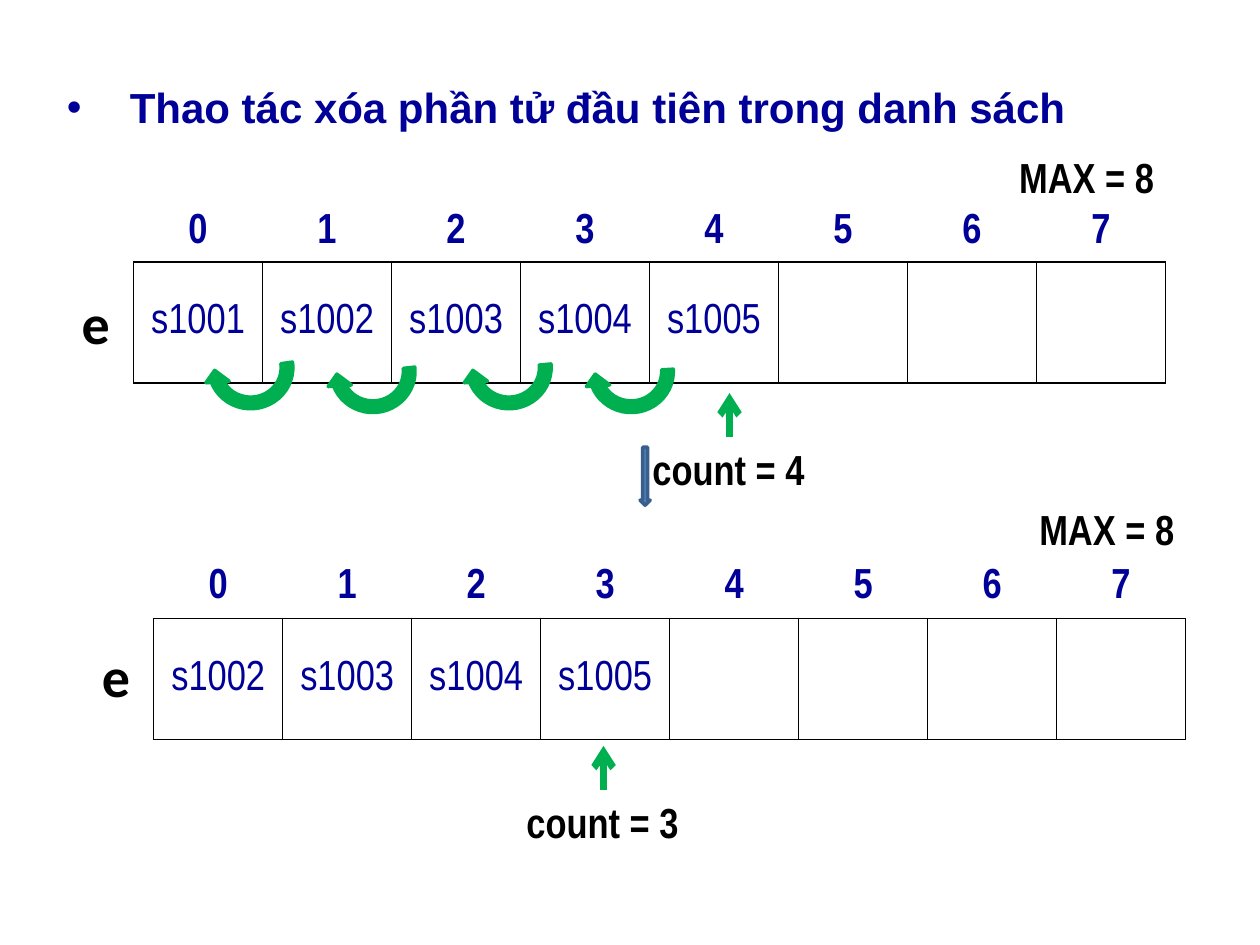
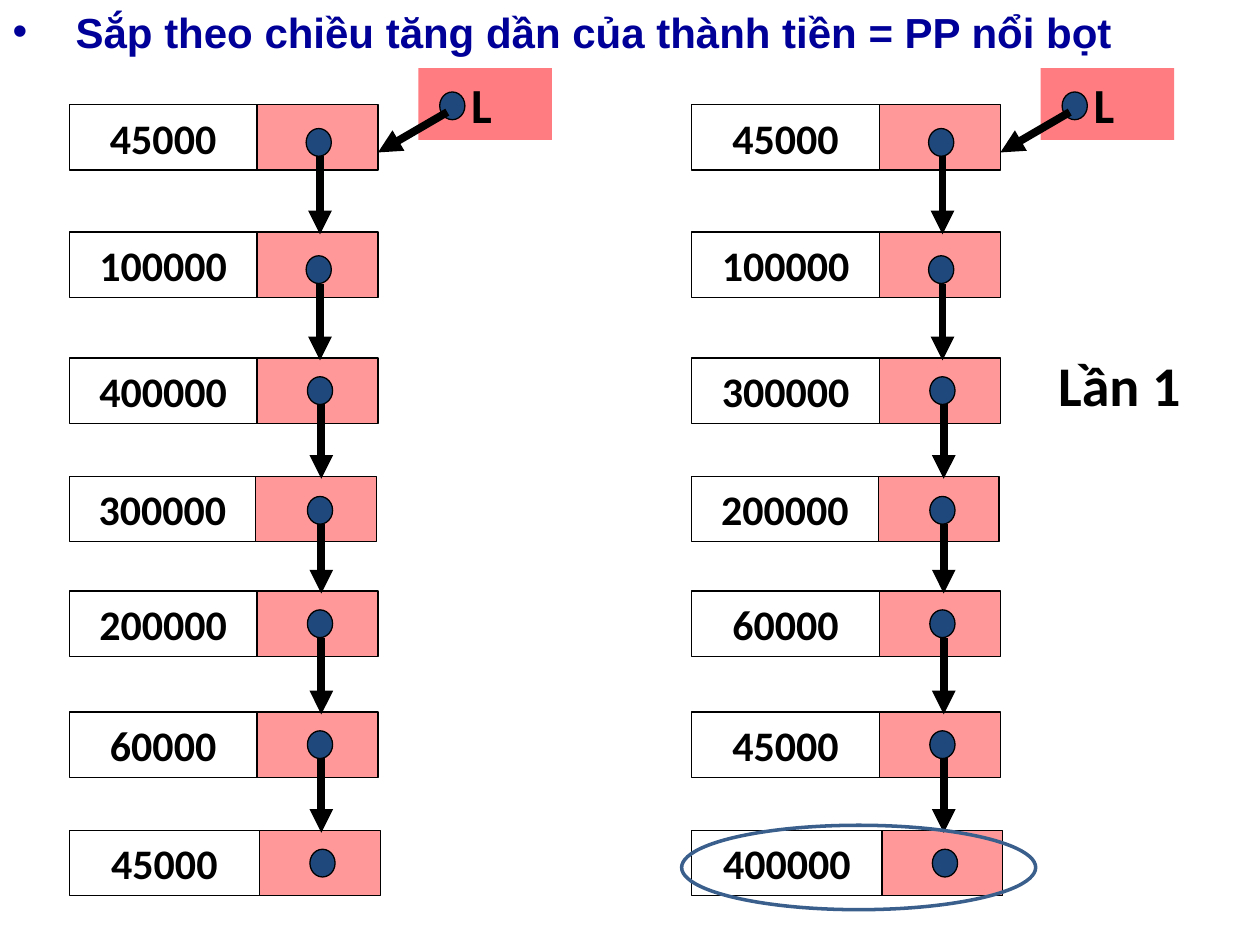
from typing import NamedTuple

from lxml.etree import SubElement
from pptx import Presentation
from pptx.dml.color import RGBColor
from pptx.enum.shapes import MSO_CONNECTOR, MSO_SHAPE
from pptx.enum.text import MSO_ANCHOR, MSO_AUTO_SIZE, PP_ALIGN
from pptx.oxml import parse_xml
from pptx.oxml.ns import nsdecls, qn
from pptx.util import Inches, Pt

COLORS = {
    "navy": "000099",
    "black": "000000",
    "white": "FFFFFF",
    "green": "00B050",
    "blue": "4F81BD",
    "outline": "3A5F8C",
    "dot": "1F497D",
    "red": "FF0000",
    "pink": "FF7C80",
}
CAPACITY = 8


class Box(NamedTuple):
    left: float
    top: float
    width: float
    height: float


class TextStyle(NamedTuple):
    font: str
    size: float
    color: str = "black"
    bold: bool = True


class ArrayState(NamedTuple):
    left: float
    top: float
    values: list[str]
    count: int
    count_left: float


class ShiftArrow(NamedTuple):
    left: float
    top: float
    sweep: float


class NodePlace(NamedTuple):
    top: float
    value_width: float
    dot_left: float
    dot_drop: float


class LinkedList(NamedTuple):
    left: float
    values: list[str]


HEADING = TextStyle("Arial", 24, "navy")
INDEX = TextStyle("Arial Narrow", 24, "navy")
ELEMENT = TextStyle("Arial Narrow", 24, "navy", False)
CAPTION = TextStyle("Arial Narrow", 24)
NAME = TextStyle("Calibri", 32)
NODE = TextStyle("Calibri", 24)
HEAD = TextStyle("Calibri", 28)

ARRAY_STATES = [
    ArrayState(1.06, 1.61, ["s1001", "s1002", "s1003", "s1004", "s1005"], 4, 5.08),
    ArrayState(1.22, 4.41, ["s1002", "s1003", "s1004", "s1005"], 3, 4.08),
]
SHIFT_ARROWS = [
    ShiftArrow(1.61, 2.55, 105.47),
    ShiftArrow(2.58, 2.58, 106.48),
    ShiftArrow(3.66, 2.55, 107),
    ShiftArrow(4.63, 2.58, 108.17),
]
NODE_PLACES = [
    NodePlace(0.83, 1.49, 1.88, 0.19),
    NodePlace(1.84, 1.49, 1.88, 0.19),
    NodePlace(2.84, 1.49, 1.89, 0.15),
    NodePlace(3.78, 1.48, 1.89, 0.16),
    NodePlace(4.69, 1.49, 1.89, 0.15),
    NodePlace(5.65, 1.49, 1.89, 0.15),
    NodePlace(6.59, 1.51, 1.91, 0.15),
]
LINKED_LISTS = [
    LinkedList(0.55, ["45000", "100000", "400000", "300000", "200000", "60000", "45000"]),
    LinkedList(5.49, ["45000", "100000", "300000", "200000", "60000", "45000", "400000"]),
]


def rgb(name: str) -> RGBColor:
    """Look up a palette colour."""
    return RGBColor.from_string(COLORS[name])


def inches(box: Box) -> list[Inches]:
    """Turn a box into lengths."""
    return [Inches(value) for value in box]


def add_text(paragraph, text: str, style: TextStyle) -> None:
    """Add one styled run to a paragraph."""
    run = paragraph.add_run()
    run.text = text
    run.font.name = style.font
    run.font.size = Pt(style.size)
    run.font.bold = style.bold
    run.font.color.rgb = rgb(style.color)


def add_label(slide, box: Box, text: str, style: TextStyle) -> None:
    """Add a left-aligned text box."""
    frame = slide.shapes.add_textbox(*inches(box)).text_frame
    frame.word_wrap = True
    frame.auto_size = MSO_AUTO_SIZE.SHAPE_TO_FIT_TEXT
    add_text(frame.paragraphs[0], text, style)


def add_figure(shapes, kind, box: Box, fill: str | None = None, line: str | None = None,
               line_width: float = 0.75, opacity: int = 100):
    """Add a preset shape with flat fill and line."""
    shape = shapes.add_shape(kind, *inches(box))
    shape.shadow.inherit = False
    if fill:
        shape.fill.solid()
        shape.fill.fore_color.rgb = rgb(fill)
        if opacity < 100:
            color = shape.element.spPr.find(qn("a:solidFill"))[0]
            SubElement(color, qn("a:alpha"), val=str(opacity * 1000))
    else:
        shape.fill.background()
    if line:
        shape.line.color.rgb = rgb(line)
        shape.line.width = Pt(line_width)
    else:
        shape.line.fill.background()
    return shape


def add_arrow(shapes, start: tuple[float, float], end: tuple[float, float],
              color: str, width: float, head: str) -> None:
    """Add a straight connector with an arrowhead at its end."""
    points = [Inches(value) for value in (*start, *end)]
    connector = shapes.add_connector(MSO_CONNECTOR.STRAIGHT, *points)
    connector.line.color.rgb = rgb(color)
    connector.line.width = Pt(width)
    properties = connector.element.spPr
    SubElement(properties.find(qn("a:ln")), qn("a:tailEnd"), type=head)
    SubElement(properties, qn("a:effectLst"))


def add_heading_slide(presentation, heading: str, top: float):
    """Add a slide whose subtitle placeholder holds a bulleted heading."""
    slide = presentation.slides.add_slide(presentation.slide_layouts[0])
    title = slide.shapes.title.element
    title.getparent().remove(title)
    placeholder = slide.placeholders[1]
    left = 0.43 if top else 0
    placeholder.left, placeholder.top, placeholder.width, placeholder.height = inches(
        Box(left, top, 9.21, 0.63))
    frame = placeholder.text_frame
    frame.word_wrap = True
    frame.auto_size = MSO_AUTO_SIZE.NONE
    frame.vertical_anchor = MSO_ANCHOR.TOP
    paragraph = frame.paragraphs[0]
    paragraph.alignment = PP_ALIGN.JUSTIFY
    paragraph.space_before = Pt(12)
    properties = paragraph._p.get_or_add_pPr()
    properties.set("marL", str(Inches(0.5)))
    properties.set("indent", str(Inches(-0.5)))
    SubElement(properties, qn("a:buFont"), typeface="Arial")
    SubElement(properties, qn("a:buChar"), char="•")
    add_text(paragraph, heading, HEADING)
    return slide


def set_borders(cell, sides: str) -> None:
    """Draw thin black borders on the given cell sides."""
    properties = cell._tc.get_or_add_tcPr()
    for position, side in enumerate(sides):
        properties.insert(position, parse_xml(
            f'<a:ln{side} {nsdecls("a")} w="{Pt(1)}"><a:solidFill>'
            f'<a:srgbClr val="{COLORS["black"]}"/></a:solidFill></a:ln{side}>'))


def fill_cell(cell, text: str, style: TextStyle, sides: str) -> None:
    """Format one array cell and write its text."""
    cell.fill.solid()
    cell.fill.fore_color.rgb = rgb("white")
    cell.vertical_anchor = MSO_ANCHOR.MIDDLE
    set_borders(cell, sides)
    paragraph = cell.text_frame.paragraphs[0]
    paragraph.alignment = PP_ALIGN.CENTER
    if text:
        add_text(paragraph, text, style)


def draw_array(slide, state: ArrayState) -> None:
    """Draw an array with indexes, labels and its count pointer."""
    left, top = state.left, state.top
    table = slide.shapes.add_table(2, CAPACITY, *inches(Box(left, top, 8.19, 1.43))).table
    table.first_row = table.horz_banding = False
    table.rows[0].height, table.rows[1].height = Inches(0.47), Inches(0.96)
    for index in range(CAPACITY):
        value = state.values[index] if index < len(state.values) else ""
        fill_cell(table.cell(0, index), str(index), INDEX, "B")
        fill_cell(table.cell(1, index), value, ELEMENT, "LRTB")
    add_label(slide, Box(left - 0.51, top + 0.63, 0.35, 0.64), "e", NAME)
    add_label(slide, Box(left + 6.93, top - 0.46, 1.42, 0.5), f"MAX = {CAPACITY}", CAPTION)
    count_top = top + 1.86
    add_label(slide, Box(state.count_left, count_top, 1.42, 0.5),
              f"count = {state.count}", CAPTION)
    pointer = state.count_left + 0.71
    add_arrow(slide.shapes, (pointer, count_top), (pointer, count_top - 0.35),
              "green", 4, "arrow")


def draw_shift_arrow(slide, arrow: ShiftArrow) -> None:
    """Draw a curved arrow moving an element one cell left."""
    shape = add_figure(slide.shapes, MSO_SHAPE.CIRCULAR_ARROW,
                       Box(arrow.left, arrow.top, 0.76, 0.74), "green", "green", 2)
    shape.rotation = 176.2
    for index, value in enumerate((0.125, 11.42, 204.58, arrow.sweep, 0.125)):
        shape.adjustments[index] = value


def add_dot(shapes, left: float, top: float) -> None:
    """Draw the dot where a link starts."""
    add_figure(shapes, MSO_SHAPE.OVAL, Box(left, top, 0.2, 0.22), "dot", "black")


def draw_linked_list(slide, linked_list: LinkedList) -> None:
    """Draw a vertical linked list with its head pointer."""
    shapes = slide.shapes.add_group_shape().shapes
    left = linked_list.left
    for place, value in zip(NODE_PLACES, linked_list.values):
        cell = add_figure(shapes, MSO_SHAPE.RECTANGLE,
                          Box(left, place.top, place.value_width, 0.52),
                          "white", "black", opacity=38)
        cell.text_frame.vertical_anchor = MSO_ANCHOR.MIDDLE
        paragraph = cell.text_frame.paragraphs[0]
        paragraph.alignment = PP_ALIGN.CENTER
        add_text(paragraph, value, NODE)
        add_figure(shapes, MSO_SHAPE.RECTANGLE,
                   Box(left + place.value_width, place.top, 0.96, 0.52),
                   "red", "black", opacity=40)
        add_dot(shapes, left + place.dot_left, place.top + place.dot_drop)
    for place, following in zip(NODE_PLACES, NODE_PLACES[1:]):
        link = left + place.dot_left + 0.11
        add_arrow(shapes, (link, place.top + place.dot_drop + 0.22),
                  (link, following.top + 0.02), "black", 4.5, "triangle")
    head = add_figure(shapes, MSO_SHAPE.RECTANGLE, Box(left + 2.77, 0.54, 1.06, 0.57), "pink")
    head.text_frame.margin_left = Inches(0.42)
    head.text_frame.vertical_anchor = MSO_ANCHOR.MIDDLE
    head.text_frame.paragraphs[0].alignment = PP_ALIGN.LEFT
    add_text(head.text_frame.paragraphs[0], "L", HEAD)
    add_dot(shapes, left + 2.94, 0.73)
    add_arrow(shapes, (left + 3, 0.89), (left + 2.45, 1.21), "black", 4.5, "triangle")


def build_deletion_slide(presentation) -> None:
    """Show the array before and after deleting its first element."""
    slide = add_heading_slide(presentation, "Thao tác xóa phần tử đầu tiên trong danh sách", 0.6)
    for state in ARRAY_STATES:
        draw_array(slide, state)
    for arrow in SHIFT_ARROWS:
        draw_shift_arrow(slide, arrow)
    add_figure(slide.shapes, MSO_SHAPE.DOWN_ARROW, Box(5.08, 3.55, 0.08, 0.46),
               "blue", "outline", 2)


def build_sorting_slide(presentation) -> None:
    """Show the list before and after the first bubble pass."""
    slide = add_heading_slide(
        presentation, "Sắp theo chiều tăng dần của thành tiền = PP nổi bọt", 0)
    for linked_list in LINKED_LISTS:
        draw_linked_list(slide, linked_list)
    add_figure(slide.shapes, MSO_SHAPE.OVAL, Box(5.41, 6.55, 2.81, 0.67),
               line="outline", line_width=2)
    add_label(slide, Box(8.3, 2.73, 1.23, 0.64), "Lần 1", NAME)


def main() -> None:
    """Build and save the presentation."""
    presentation = Presentation()
    presentation.slide_width, presentation.slide_height = Inches(10), Inches(7.5)
    build_deletion_slide(presentation)
    build_sorting_slide(presentation)
    presentation.save("out.pptx")


if __name__ == "__main__":
    main()
